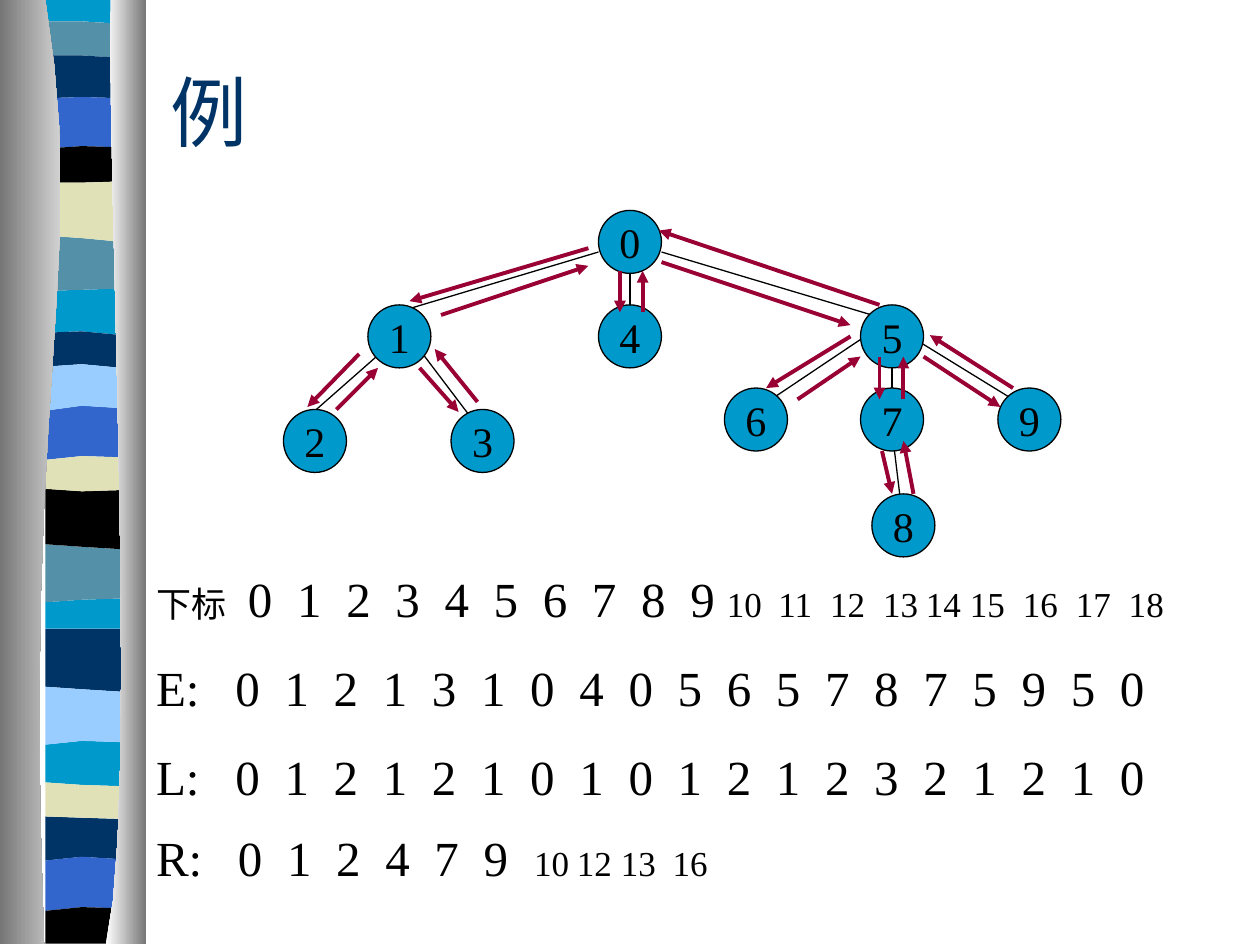
"""Build a slide that shows an Euler tour of a tree with its index arrays."""
from lxml import etree
from pptx import Presentation
from pptx import util as u
from pptx.dml.color import RGBColor
from pptx.enum import shapes, text
from pptx.oxml import ns

BLACK = RGBColor(0x00, 0x00, 0x00)
NAVY = RGBColor(0x00, 0x33, 0x66)
TEAL = RGBColor(0x00, 0x99, 0xCC)
SLATE = RGBColor(0x54, 0x90, 0xA8)
SAND = RGBColor(0xE1, 0xE1, 0xB7)
BLUE = RGBColor(0x33, 0x66, 0xCC)
SKY = RGBColor(0x99, 0xCC, 0xFF)
WINE = RGBColor(0x99, 0x00, 0x33)
GREY = RGBColor(0x76, 0x76, 0x76)
SILVER = RGBColor(0xD2, 0xD2, 0xD2)
WHITE = RGBColor(0xFF, 0xFF, 0xFF)
FONT = "Times New Roman"

TITLE = "例"
NODE_SIZE = 0.5
NODES = {
    "0": (4.75, 1.67), "1": (2.92, 2.42), "2": (2.25, 3.25), "3": (3.58, 3.25),
    "4": (4.75, 2.42), "5": (6.83, 2.42), "6": (5.75, 3.08), "7": (6.83, 3.08),
    "8": (6.92, 3.92), "9": (7.92, 3.08),
}
EDGES = [
    (4.75, 2, 3.08, 2.5), (5, 1.83, 5, 2.67), (5.25, 2, 6.92, 2.5),
    (3.17, 2.67, 2.42, 3.33), (3.25, 2.67, 3.75, 3.33), (7, 2.58, 6, 3.25),
    (7.08, 2.58, 7.08, 3.42), (7.08, 2.58, 8.17, 3.25), (7.08, 3.42, 7.19, 4.33),
]
TOUR = [
    (4.67, 1.97, 3.25, 2.39), (2.85, 2.81, 2.44, 3.23), (2.67, 3.25, 3, 2.92),
    (3.33, 2.92, 3.64, 3.27), (3.79, 3.19, 3.45, 2.77), (3.5, 2.5, 4.67, 2.11),
    (4.92, 2.15, 4.92, 2.48), (5.1, 2.48, 5.1, 2.15), (5.25, 2.08, 6.75, 2.58),
    (6.75, 2.67, 6.08, 3.08), (6.33, 3.17, 6.83, 2.83), (6.98, 2.83, 6.98, 3.17),
    (7, 3.58, 7.08, 3.92), (7.25, 3.92, 7.17, 3.5), (7.17, 3.17, 7.17, 2.83),
    (7.33, 2.83, 7.94, 3.23), (8.04, 3.08, 7.38, 2.66), (6.98, 2.42, 5.23, 1.83),
]
COLUMN_PITCH = 0.39
ROWS = [
    dict(label="下标", size=20, before=0, start=0.73, big="0 1 2 3 4 5 6 7 8 9",
         small="10 11 12 13 14 15 16 17 18",
         stops=[4.53, 4.94, 5.35, 5.77, 6.11, 6.46, 6.88, 7.3, 7.72]),
    dict(label="E:", size=28, before=17.5, start=0.63,
         big="0 1 2 1 3 1 0 4 0 5 6 5 7 8 7 5 9 5 0", small="", stops=[]),
    dict(label="L:", size=28, before=17.5, start=0.63,
         big="0 1 2 1 2 1 0 1 0 1 2 1 2 3 2 1 2 1 0", small="", stops=[]),
    dict(label="R:", size=28, before=12.5, start=0.65, big="0 1 2 4 7 9",
         small="10 12 13 16", stops=[3, 3.34, 3.69, 4.1]),
]

BAND_XS = (0.36, 0.65, 0.97)
BAND_BOTTOM = (7.49, 7.49, 7.49)
BANDS = [
    (TEAL, (0, 0, 0)), (SLATE, (0.17, 0.17, 0.19)), (NAVY, (0.44, 0.44, 0.46)),
    (BLUE, (0.78, 0.77, 0.78)), (BLACK, (1.18, 1.16, 1.17)), (SAND, (1.45, 1.45, 1.44)),
    (SLATE, (1.87, 1.89, 1.92)), (TEAL, (2.31, 2.3, 2.29)), (NAVY, (2.64, 2.63, 2.66)),
    (SKY, (2.91, 2.89, 2.92)), (BLUE, (3.26, 3.22, 3.24)), (SAND, (3.65, 3.62, 3.63)),
    (BLACK, (3.88, 3.9, 3.89)), (SLATE, (4.32, 4.34, 4.36)), (TEAL, (4.78, 4.76, 4.75)),
    (NAVY, (4.99, 4.99, 4.99)), (SKY, (5.45, 5.47, 5.49)), (TEAL, (5.91, 5.88, 5.89)),
    (SAND, (6.21, 6.23, 6.24)), (NAVY, (6.48, 6.49, 6.5)), (BLUE, (6.83, 6.8, 6.82)),
    (BLACK, (7.23, 7.2, 7.21)),
]
CURTAINS = [
    (0, ((0.36, 0), (0.71, 2.16), (0.17, 2.96), (0.35, 7.49)), GREY, SILVER),
    (1.16, ((0.88, 0), (0.84, 1.25), (1.11, 6.46), (0.84, 7.49)), WHITE, GREY),
]


def sample_bezier(ctrl, steps=12):
    points = []
    for i in range(steps + 1):
        t = i / steps
        weights = ((1 - t) ** 3, 3 * t * (1 - t) ** 2, 3 * t * t * (1 - t), t ** 3)
        points.append(tuple(sum(w * c[axis] for w, c in zip(weights, ctrl))
                            for axis in (0, 1)))
    return points


def add_outlines(s, outlines):
    builder = None
    for outline in outlines:
        points = [(u.Inches(x), u.Inches(y)) for x, y in outline]
        if builder is None:
            builder = s.shapes.build_freeform(*points[0])
        else:
            builder.move_to(*points[0])
        builder.add_line_segments(points[1:], close=True)
    sp = builder.convert_to_shape()
    sp.shadow.inherit = False
    sp.line.fill.background()
    return sp


def add_border(s):
    bottoms = [top for _, top in BANDS[1:]] + [BAND_BOTTOM]
    by_color = {}
    for (color, top), bottom in zip(BANDS, bottoms):
        outline = list(zip(BAND_XS, top)) + list(zip(BAND_XS, bottom))[::-1]
        by_color.setdefault(color, []).append(outline)
    for color, outlines in by_color.items():
        sp = add_outlines(s, outlines)
        sp.fill.solid()
        sp.fill.fore_color.rgb = color
    for edge, ctrl, *colors in CURTAINS:
        sp = add_outlines(s, [sample_bezier(ctrl) + [(edge, 7.49), (edge, 0)]])
        sp.fill.gradient()
        sp.fill.gradient_angle = 0
        for stop, color in zip(sp.fill.gradient_stops, colors):
            stop.color.rgb = color


def add_line(s, ends, color, width, arrow=False):
    line = s.shapes.add_connector(shapes.MSO_CONNECTOR.STRAIGHT, *map(u.Inches, ends))
    line.line.color.rgb = color
    line.line.width = u.Pt(width)
    if arrow:
        ln = line._element.spPr.find(ns.qn("a:ln"))
        etree.SubElement(ln, ns.qn("a:tailEnd"), type="triangle")
    etree.SubElement(line._element.spPr, ns.qn("a:effectLst"))


def add_run(p, content, size, color=BLACK):
    r = p.add_run()
    r.text = content
    r.font.size = u.Pt(size)
    r.font.name = FONT
    r.font.color.rgb = color


def add_node(s, label, left, top):
    sp = s.shapes.add_shape(shapes.MSO_SHAPE.OVAL, u.Inches(left), u.Inches(top),
                            u.Inches(NODE_SIZE), u.Inches(NODE_SIZE))
    sp.shadow.inherit = False
    sp.fill.solid()
    sp.fill.fore_color.rgb = TEAL
    sp.line.color.rgb = BLACK
    sp.line.width = u.Pt(0.75)
    tf = sp.text_frame
    tf.word_wrap = False
    tf.vertical_anchor = text.MSO_ANCHOR.MIDDLE
    tf.paragraphs[0].alignment = text.PP_ALIGN.CENTER
    add_run(tf.paragraphs[0], label, 24)


def add_row(p, row):
    big, small = row["big"].split(), row["small"].split()
    stops = [row["start"] + i * COLUMN_PITCH for i in range(len(big))] + row["stops"]
    tabs = etree.SubElement(p._p.get_or_add_pPr(), ns.qn("a:tabLst"))
    for stop in stops:
        etree.SubElement(tabs, ns.qn("a:tab"), pos=str(u.Inches(stop)), algn="l")
    p.space_before = u.Pt(row["before"])
    add_run(p, row["label"], row["size"])
    add_run(p, "".join("\t" + v for v in big), 28)
    if small:
        add_run(p, "".join("\t" + v for v in small), 20)


def main():
    prs = Presentation()
    prs.slide_width, prs.slide_height = u.Inches(10), u.Inches(7.5)
    s = prs.slides.add_slide(prs.slide_layouts[5])
    add_border(s)

    title = s.shapes.title
    title.left, title.top, title.width, title.height = map(u.Inches, (1.25, 0.25, 8.5, 1.25))
    title.text_frame.vertical_anchor = text.MSO_ANCHOR.MIDDLE
    title.text_frame.paragraphs[0].alignment = text.PP_ALIGN.LEFT
    add_run(title.text_frame.paragraphs[0], TITLE, 44, NAVY)

    for ends in EDGES:
        add_line(s, ends, BLACK, 0.75)
    for label, (left, top) in NODES.items():
        add_node(s, label, left, top)
    for ends in TOUR:
        add_line(s, ends, WINE, 2.25, arrow=True)

    tf = s.shapes.add_textbox(*map(u.Inches, (1.14, 4.46, 8.5, 2.63))).text_frame
    tf.word_wrap = True
    for i, row in enumerate(ROWS):
        add_row(tf.add_paragraph() if i else tf.paragraphs[0], row)
    prs.save("out.pptx")


if __name__ == "__main__":
    main()
